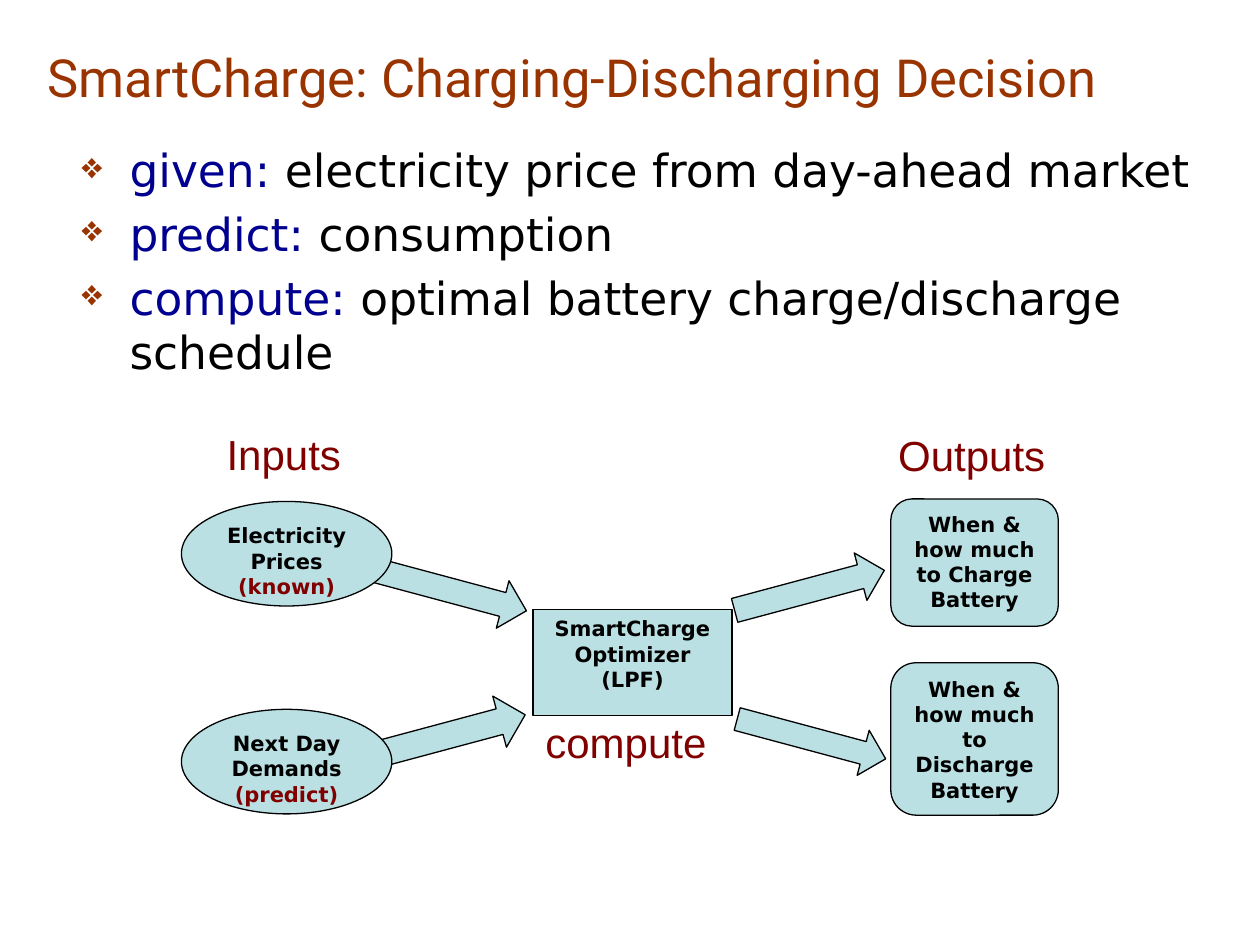
from dataclasses import dataclass

from lxml import etree
from pptx import Presentation
from pptx import util as u
from pptx.dml.color import RGBColor
from pptx.enum import shapes, text
from pptx.oxml import ns

COLORS = {"title": "993300", "keyword": "000090", "body": "000000",
          "accent": "800000", "fill": "BBE0E3", "line": "000000"}
CELL = u.Inches(0.1)  # the slide is a grid of 100 columns by 75 rows
TILT = 15
FORM = shapes.MSO_SHAPE
ALIGN = text.PP_ALIGN


@dataclass
class Box:
    """An area in grid columns and rows."""
    left: float
    top: float
    width: float
    height: float

    def inner(self, column, row, width, height):
        return Box(self.left + column, self.top + row, width, height)

    def emu(self):
        return [round(n * CELL) for n in (self.left, self.top, self.width, self.height)]


def color(name):
    return RGBColor.from_string(COLORS[name])


def add_run(paragraph, words, size, font, color_name, bold=False):
    run = paragraph.add_run()
    run.text = words
    run.font.size = u.Pt(size)
    run.font.name = font
    run.font.bold = bold
    run.font.color.rgb = color(color_name)


def add_text_box(slide, box, wrap=True):
    frame = slide.shapes.add_textbox(*box.emu()).text_frame
    frame.word_wrap = wrap
    return frame


def add_bullet(paragraph):
    properties = paragraph._p.get_or_add_pPr()
    properties.set("marL", str(u.Inches(0.38)))
    properties.set("indent", str(-u.Inches(0.38)))
    before = etree.SubElement(properties, ns.qn("a:spcBef"))
    etree.SubElement(before, ns.qn("a:spcPct"), val="20000")
    tint = etree.SubElement(properties, ns.qn("a:buClr"))
    etree.SubElement(tint, ns.qn("a:srgbClr"), val=COLORS["title"])
    etree.SubElement(properties, ns.qn("a:buSzPct"), val="80000")
    etree.SubElement(properties, ns.qn("a:buChar"), char="❖")


def add_filled_shape(slide, form, box):
    shape = slide.shapes.add_shape(form, *box.emu())
    shape.shadow.inherit = False
    shape.fill.solid()
    shape.fill.fore_color.rgb = color("fill")
    shape.line.color.rgb = color("line")
    shape.line.width = u.Pt(0.75)
    return shape


def add_node(slide, form, box, label, note=None):
    frame = add_filled_shape(slide, form, box).text_frame
    frame.word_wrap = True
    frame.vertical_anchor = text.MSO_ANCHOR.TOP
    paragraph = frame.paragraphs[0]
    paragraph.alignment = ALIGN.CENTER
    add_run(paragraph, label, 12, "DejaVu Sans", "body", True)
    if note:
        paragraph = frame.add_paragraph()
        paragraph.alignment = ALIGN.CENTER
        add_run(paragraph, note, 12, "DejaVu Sans", "accent", True)


def add_title(slide, box):
    frame = add_text_box(slide, box)
    frame.vertical_anchor = text.MSO_ANCHOR.MIDDLE
    add_run(frame.paragraphs[0], "SmartCharge: Charging-Discharging Decision",
            30, "Roboto", "title")


def add_steps(slide, box):
    frame = add_text_box(slide, box)
    steps = [("given: ", "electricity price from day-ahead market"),
             ("predict: ", "consumption"),
             ("compute: ", "optimal battery charge/discharge schedule")]
    for index, (keyword, detail) in enumerate(steps):
        paragraph = frame.add_paragraph() if index else frame.paragraphs[0]
        add_bullet(paragraph)
        add_run(paragraph, keyword, 26, "DejaVu Sans", "keyword")
        add_run(paragraph, detail, 26, "DejaVu Sans", "body")


def add_diagram(slide, box):
    """Inputs on the left, the optimizer in the middle, outputs on the right."""
    arrows = [((14.6, 22.8, 12.9, 4.2), -TILT), ((15, 11.4, 12.6, 3.9), TILT),
              ((43.9, 23.3, 12.2, 3.7), TILT), ((43.7, 11.4, 12.3, 3.9), -TILT)]
    for place, angle in arrows:
        add_filled_shape(slide, FORM.RIGHT_ARROW, box.inner(*place)).rotation = angle

    add_node(slide, FORM.RECTANGLE, box.inner(27.9, 14.9, 15.8, 8.4),
             "SmartCharge Optimizer (LPF)")
    inputs = [(6.3, "Electricity Prices", "(known)"),
              (22.8, "Next Day Demands", "(predict)")]
    for row, label, note in inputs:
        add_node(slide, FORM.OVAL, box.inner(0, row, 16.7, 8.3), label, note)
    outputs = [(6.1, 10.1, "Charge"), (19.1, 12.1, "Discharge")]
    for row, height, action in outputs:
        add_node(slide, FORM.FLOWCHART_ALTERNATE_PROCESS,
                 box.inner(56.3, row, 13.3, height),
                 f"When & how much to {action} Battery")

    captions = [("Inputs", 2.6, 0, 11.2), ("Outputs", 55.9, 0.1, 13.8),
                ("compute", 27.9, 22.9, 14.9)]
    for words, column, row, width in captions:
        frame = add_text_box(slide, box.inner(column, row, width, 5), wrap=False)
        frame.auto_size = text.MSO_AUTO_SIZE.SHAPE_TO_FIT_TEXT
        add_run(frame.paragraphs[0], words, 24, "Arial", "accent")


def main():
    presentation = Presentation()
    presentation.slide_width = 100 * CELL
    presentation.slide_height = 75 * CELL
    slide = presentation.slides.add_slide(presentation.slide_layouts[6])
    add_title(slide, Box(2.8, 1.6, 91, 8.9))
    add_steps(slide, Box(5.5, 10.8, 90.9, 16.9))
    add_diagram(slide, Box(14.4, 33.5, 69.6, 31.2))
    presentation.save("out.pptx")


if __name__ == "__main__":
    main()
